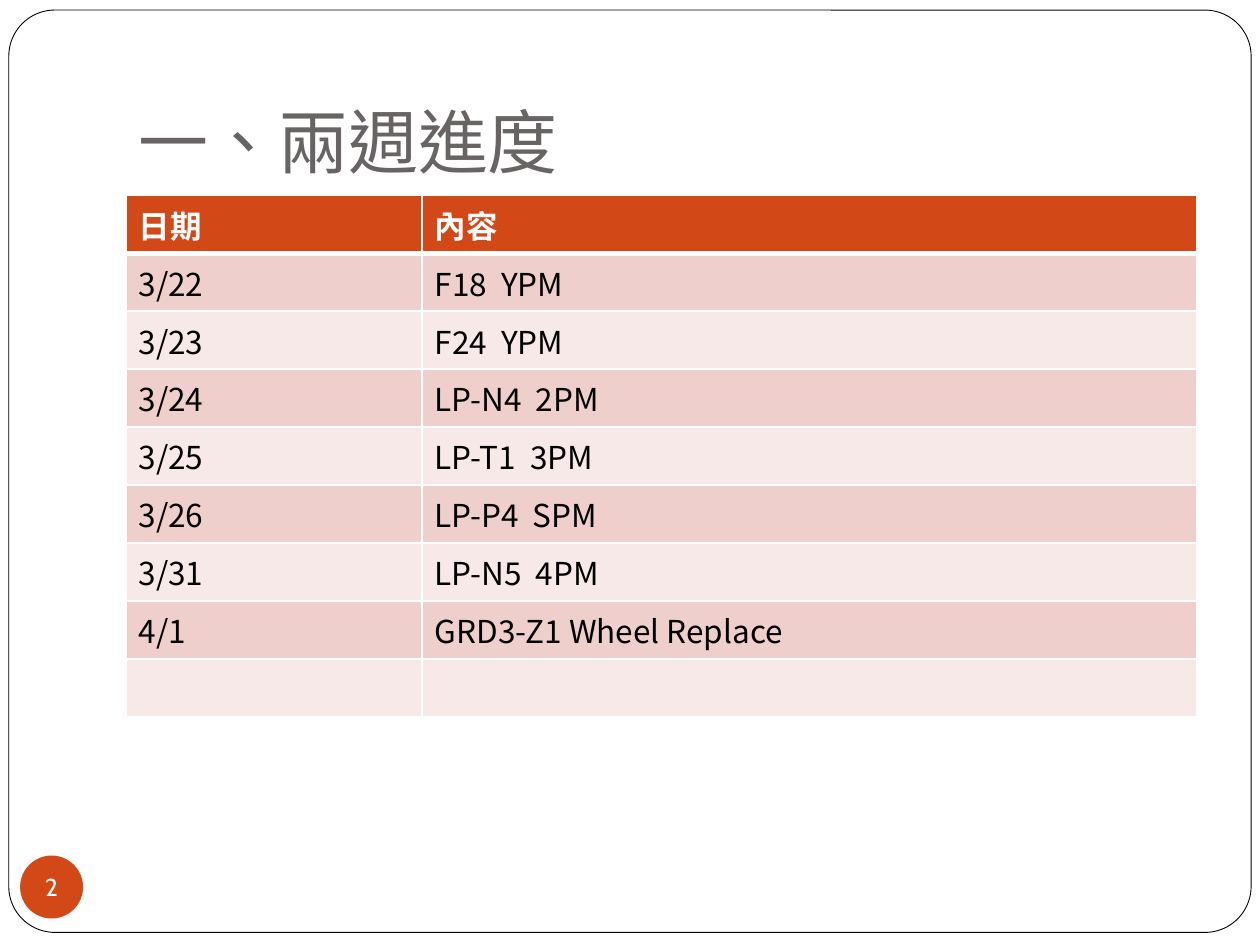
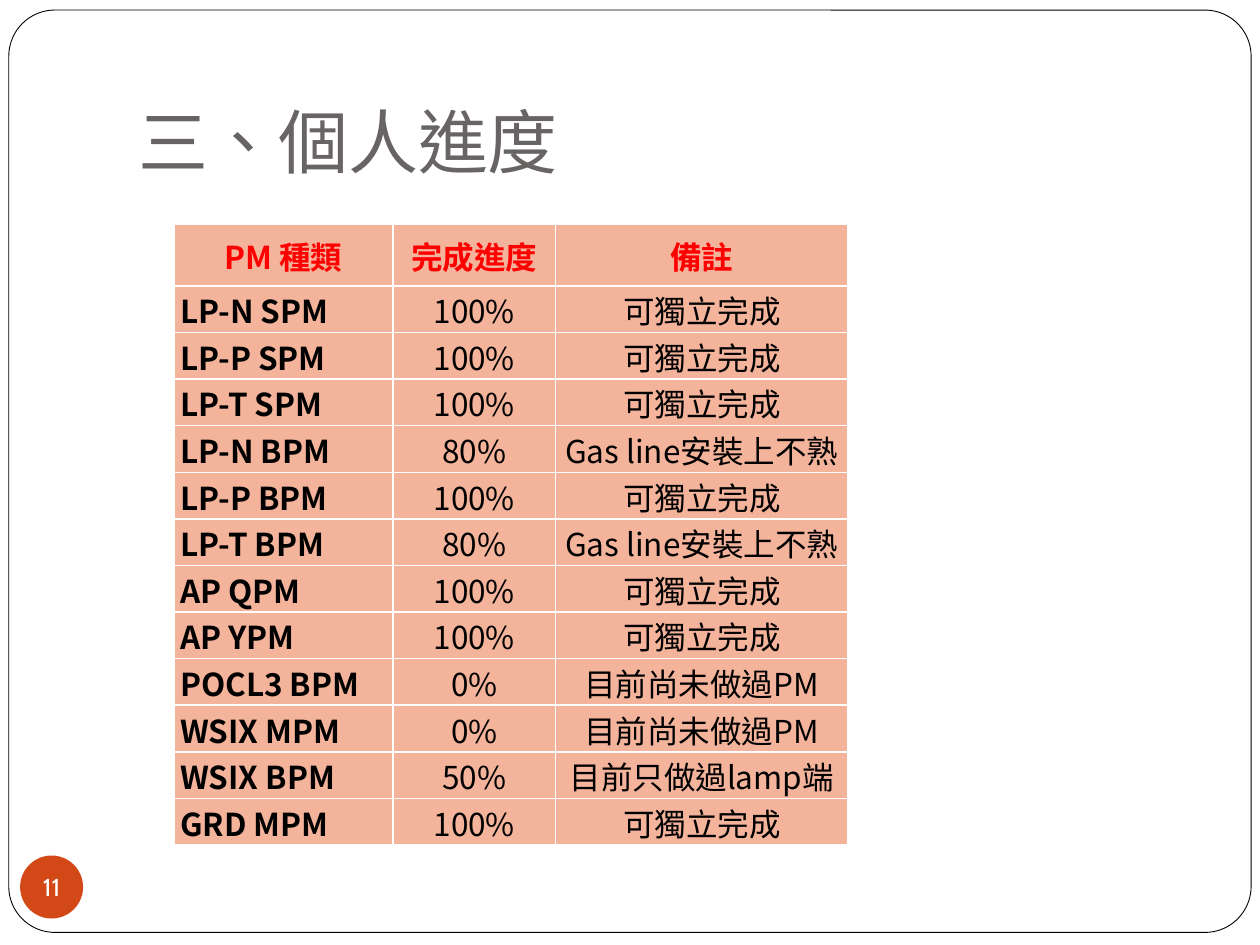
from lxml import etree
from pptx import Presentation
from pptx import util as u
from pptx.dml.color import RGBColor
from pptx.enum import shapes, text
from pptx.oxml.ns import qn

WHITE = RGBColor(0xFF, 0xFF, 0xFF)
BLACK = RGBColor(0x00, 0x00, 0x00)
RED = RGBColor(0xFF, 0x00, 0x00)
TITLE_GRAY = RGBColor(0x69, 0x64, 0x64)
ORANGE = RGBColor(0xD3, 0x48, 0x17)
PINK = RGBColor(0xEF, 0xCF, 0xCC)
PALE_PINK = RGBColor(0xF7, 0xE9, 0xE8)
SALMON = RGBColor(0xF4, 0xB3, 0x9B)

LATIN_FONT = "Cabin"
CJK_FONT = "Noto Sans CJK SC"
LEFT, CENTER = text.PP_ALIGN.LEFT, text.PP_ALIGN.CENTER
TOP, MIDDLE, BOTTOM = (text.MSO_ANCHOR.TOP, text.MSO_ANCHOR.MIDDLE,
                       text.MSO_ANCHOR.BOTTOM)

TWO_WEEKS = [
    ("日期", "內容"),
    ("3/22", "F18  YPM"),
    ("3/23", "F24  YPM"),
    ("3/24", "LP-N4  2PM"),
    ("3/25", "LP-T1  3PM"),
    ("3/26", "LP-P4  SPM"),
    ("3/31", "LP-N5  4PM"),
    ("4/1", "GRD3-Z1 Wheel Replace"),
    ("", ""),
]

INDEPENDENT = "可獨立完成"
GAS_LINE = "Gas line安裝上不熟"
NOT_YET = "目前尚未做過PM"
PERSONAL = [
    ("PM 種類", "完成進度", "備註"),
    ("LP-N SPM", "100%", INDEPENDENT),
    ("LP-P SPM", "100%", INDEPENDENT),
    ("LP-T SPM", "100%", INDEPENDENT),
    ("LP-N BPM", "80%", GAS_LINE),
    ("LP-P BPM", "100%", INDEPENDENT),
    ("LP-T BPM", "80%", GAS_LINE),
    ("AP QPM", "100%", INDEPENDENT),
    ("AP YPM", "100%", INDEPENDENT),
    ("POCL3 BPM", "0%", NOT_YET),
    ("WSIX MPM", "0%", NOT_YET),
    ("WSIX BPM", "50%", "目前只做過lamp端"),
    ("GRD MPM", "100%", INDEPENDENT),
]


class Deck:
    """Holds the shared style and the current slide."""

    def __init__(self):
        self.presentation = Presentation()
        self.presentation.slide_width = u.Inches(10)
        self.presentation.slide_height = u.Inches(7.5)
        self.slide = None

    def add_slide(self, title, number):
        layout = self.presentation.slide_layouts[6]
        self.slide = self.presentation.slides.add_slide(layout)
        self.frame()
        self.title(title)
        self.page_number(number)

    def shape(self, kind, left, top, width, height, fill):
        shape = self.slide.shapes.add_shape(
            kind, u.Inches(left), u.Inches(top), u.Inches(width), u.Inches(height))
        shape.shadow.inherit = False
        shape.fill.solid()
        shape.fill.fore_color.rgb = fill
        return shape

    def set_text(self, text_frame, words, size, color, font=LATIN_FONT,
                 bold=False, align=LEFT):
        text_frame.text = words
        paragraph = text_frame.paragraphs[0]
        paragraph.alignment = align
        for run in paragraph.runs:
            run.font.size = u.Pt(size)
            run.font.bold = bold
            run.font.color.rgb = color
            run.font.name = font
            properties = run._r.get_or_add_rPr()
            properties.set("lang", "zh-TW")
            etree.SubElement(properties, qn("a:ea"), typeface=CJK_FONT)

    def inset(self, box, left, top, right, bottom):
        box.margin_left, box.margin_top = u.Inches(left), u.Inches(top)
        box.margin_right, box.margin_bottom = u.Inches(right), u.Inches(bottom)

    def frame(self):
        frame = self.shape(shapes.MSO_SHAPE.ROUNDED_RECTANGLE,
                           0.07, 0.08, 9.86, 7.32, WHITE)
        frame.adjustments[0] = 0.05
        frame.line.color.rgb = BLACK
        frame.line.width = u.Pt(0.5)

    def title(self, words):
        box = self.slide.shapes.add_textbox(
            u.Inches(1), u.Inches(0.3), u.Inches(8.5), u.Inches(1.25))
        text_frame = box.text_frame
        text_frame.word_wrap = True
        text_frame.vertical_anchor = BOTTOM
        self.inset(text_frame, 0.1, 0.05, 0.1, 0.1)
        self.set_text(text_frame, words, 40, TITLE_GRAY)

    def page_number(self, number):
        badge = self.shape(shapes.MSO_SHAPE.OVAL, 0.16, 6.79, 0.5, 0.5, ORANGE)
        badge.line.fill.background()
        text_frame = badge.text_frame
        text_frame.word_wrap = False
        text_frame.vertical_anchor = MIDDLE
        self.inset(text_frame, 0, 0, 0, 0)
        self.set_text(text_frame, str(number), 14, WHITE, align=CENTER)

    def table(self, rows, left, top, widths, header_height, row_height):
        height = header_height + row_height * (len(rows) - 1)
        table = self.slide.shapes.add_table(
            len(rows), len(widths), u.Inches(left), u.Inches(top),
            u.Inches(sum(widths)), u.Inches(height)).table
        table.first_row = table.horz_banding = False
        for column, width in zip(table.columns, widths):
            column.width = u.Inches(width)
        for index, row in enumerate(table.rows):
            row.height = u.Inches(row_height if index else header_height)
        return table

    def cell(self, cell, words, fill, color, bold=False, align=LEFT,
             anchor=TOP, insets=(0.1, 0.05, 0.1, 0.05), top_line=1, bottom_line=1):
        self.inset(cell, *insets)
        cell.vertical_anchor = anchor
        self.borders(cell, {"L": 1, "R": 1, "T": top_line, "B": bottom_line})
        cell.fill.solid()
        cell.fill.fore_color.rgb = fill
        self.set_text(cell.text_frame, words, 18, color, CJK_FONT, bold, align)

    def borders(self, cell, widths):
        properties = cell._tc.get_or_add_tcPr()
        for side, width in widths.items():
            line = etree.SubElement(properties, qn("a:ln" + side), w=str(u.Pt(width)))
            fill = etree.SubElement(line, qn("a:solidFill"))
            etree.SubElement(fill, qn("a:srgbClr"), val=str(WHITE))


def two_week_progress(deck):
    deck.add_slide("一、兩週進度", 2)
    table = deck.table(TWO_WEEKS, 1, 1.55, (2.35, 6.15), 0.46, 0.46)
    for r, row in enumerate(TWO_WEEKS):
        header = r == 0
        fill = ORANGE if header else PINK if r % 2 else PALE_PINK
        for c, words in enumerate(row):
            deck.cell(table.cell(r, c), words, fill, WHITE if header else BLACK,
                      bold=header, top_line=3 if r == 1 else 1,
                      bottom_line=3 if header else 1)


def personal_progress(deck):
    deck.add_slide("三、個人進度", 11)
    table = deck.table(PERSONAL, 1.38, 1.78, (1.74, 1.29, 2.32), 0.49, 0.37)
    for r, row in enumerate(PERSONAL):
        header = r == 0
        for c, words in enumerate(row):
            row_label = c == 0 and not header
            deck.cell(table.cell(r, c), words, SALMON, RED if header else BLACK,
                      bold=header or row_label, anchor=MIDDLE,
                      align=LEFT if row_label else CENTER,
                      insets=(0.05 if row_label else 0.01, 0.01, 0.01, 0))


def main():
    deck = Deck()
    two_week_progress(deck)
    personal_progress(deck)
    deck.presentation.save("out.pptx")


if __name__ == "__main__":
    main()
